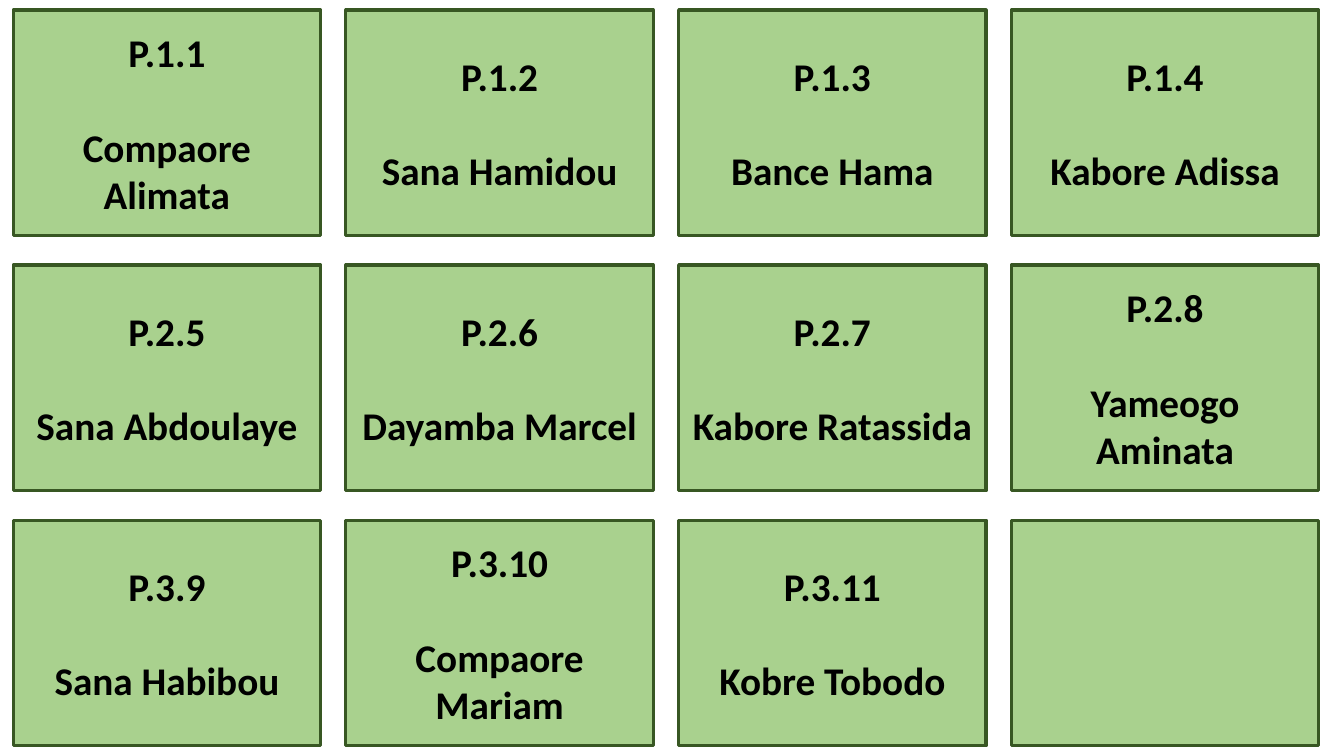
from pptx import Presentation
from pptx.dml.color import RGBColor
from pptx.enum.shapes import MSO_SHAPE
from pptx.enum.text import MSO_ANCHOR, PP_ALIGN
from pptx.util import Inches, Pt

RECTANGLE = MSO_SHAPE.RECTANGLE
MIDDLE = MSO_ANCHOR.MIDDLE
CENTER = PP_ALIGN.CENTER

# Content: one list per row of cards, None for an empty card
CARD_ROWS = [
    [("P.1.1", "Compaore Alimata"), ("P.1.2", "Sana Hamidou"),
     ("P.1.3", "Bance Hama"), ("P.1.4", "Kabore Adissa")],
    [("P.2.5", "Sana Abdoulaye"), ("P.2.6", "Dayamba Marcel"),
     ("P.2.7", "Kabore Ratassida"), ("P.2.8", "Yameogo Aminata")],
    [("P.3.9", "Sana Habibou"), ("P.3.10", "Compaore Mariam"),
     ("P.3.11", "Kobre Tobodo"), None],
]

# Style
GREEN = RGBColor(0xA9, 0xD1, 0x8E)
DARK_GREEN = RGBColor(0x38, 0x57, 0x23)
BLACK = RGBColor(0x00, 0x00, 0x00)
FONT = "Calibri"
TEXT_SIZE = Pt(28)
NAME_GAP = Pt(34)

# Card grid
LEFT, TOP = Inches(0.13), Inches(0.1)
CARD_WIDTH, CARD_HEIGHT = Inches(3.05), Inches(2.24)
COLUMN_STEP, ROW_STEP = Inches(3.3), Inches(2.53)


def add_card(page, row, column, lines):
    card = page.shapes.add_shape(
        RECTANGLE, LEFT + column * COLUMN_STEP, TOP + row * ROW_STEP,
        CARD_WIDTH, CARD_HEIGHT)
    card.shadow.inherit = False
    card.fill.solid()
    card.fill.fore_color.rgb = GREEN
    card.line.color.rgb = DARK_GREEN
    card.line.width = Pt(2.25)
    if lines is None:
        return

    # Code above, name below
    frame = card.text_frame
    frame.word_wrap = True
    frame.vertical_anchor = MIDDLE
    frame.text = "\n".join(lines)
    for para in frame.paragraphs:
        para.alignment = CENTER
        for span in para.runs:
            span.font.name = FONT
            span.font.size = TEXT_SIZE
            span.font.bold = True
            span.font.color.rgb = BLACK
    frame.paragraphs[1].space_before = NAME_GAP


def main():
    deck = Presentation()
    deck.slide_width = Inches(13.33)
    deck.slide_height = Inches(7.5)
    page = deck.slides.add_slide(deck.slide_layouts[6])
    for row, cards in enumerate(CARD_ROWS):
        for column, lines in enumerate(cards):
            add_card(page, row, column, lines)
    deck.save("out.pptx")


if __name__ == "__main__":
    main()
